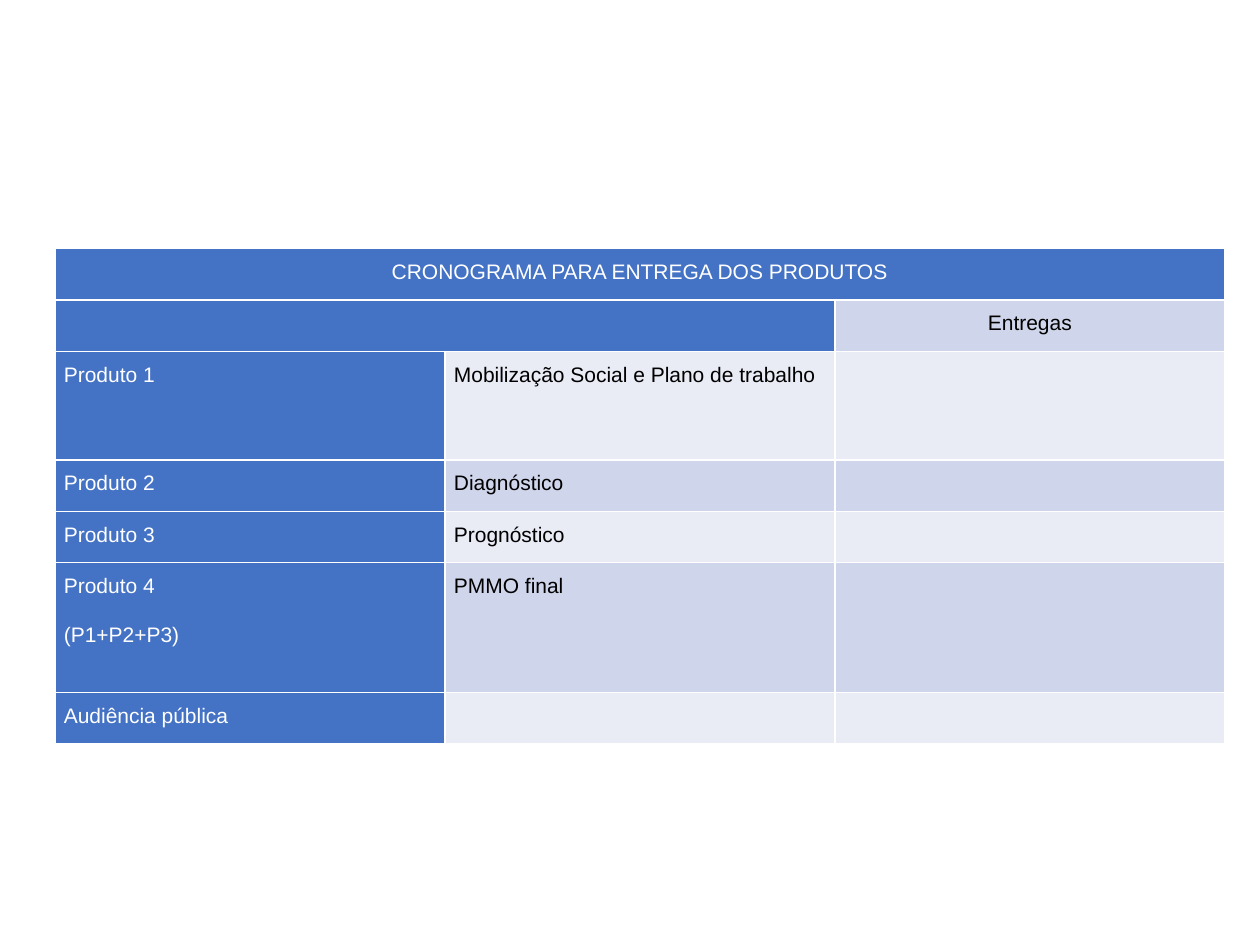
from lxml import etree
from pptx import Presentation
from pptx.dml.color import RGBColor
from pptx.enum.text import PP_ALIGN
from pptx.oxml.ns import qn
from pptx.util import Pt

CENTER, JUSTIFY = PP_ALIGN.CENTER, PP_ALIGN.JUSTIFY
COLORS = {"head": "4472C4", "odd": "CFD5EA", "even": "E9EBF5",
          "white": "FFFFFF", "black": "000000"}
ROWS = [
    (29.4, "CRONOGRAMA PARA ENTREGA DOS PRODUTOS", "", ""),
    (29.4, "", "", "Entregas"),
    (62, "Produto 1", "Mobilização Social e Plano de trabalho", ""),
    (29.4, "Produto 2", "Diagnóstico", ""),
    (29.4, "Produto 3", "Prognóstico", ""),
    (74.2, "Produto 4\n(P1+P2+P3)", "PMMO final", ""),
    (29.4, "Audiência pública", "", ""),
]
SPANS = {0: 3, 1: 2}
LEFT, TOP, WIDTH = 31.3, 142, 222.9


def write(frame, text, color="black", align=JUSTIFY, size=12):
    """Put text in a frame with the given format."""
    frame.text = text
    for para in frame.paragraphs:
        para.alignment = align
        para.line_spacing = 1.5
        para.space_after = Pt(8)
        for run in para.runs:
            font = run.font
            font.name, font.size, font.bold = "Arial", Pt(size), False
            font.color.rgb = RGBColor.from_string(COLORS[color])


def edge(cell, width=1):
    """Draw white lines around a cell."""
    props = cell._tc.get_or_add_tcPr()
    for spot, side in enumerate(("lnL", "lnR", "lnT", "lnB")):
        line = etree.Element(qn(f"a:{side}"), w=str(Pt(width)))
        fill = etree.SubElement(line, qn("a:solidFill"))
        etree.SubElement(fill, qn("a:srgbClr"), val=COLORS["white"])
        props.insert(spot, line)


def main():
    """Build the delivery schedule slide."""
    deck = Presentation()
    deck.slide_width, deck.slide_height = Pt(720), Pt(540)
    slide = deck.slides.add_slide(deck.slide_layouts[6])
    high = sum(row[0] for row in ROWS)
    table = slide.shapes.add_table(
        len(ROWS), 3, Pt(LEFT), Pt(TOP), Pt(3 * WIDTH), Pt(high)).table
    for col in table.columns:
        col.width = Pt(WIDTH)
    for r, (tall, *texts) in enumerate(ROWS):
        table.rows[r].height = Pt(tall)
        for c, text in enumerate(texts):
            cell = table.cell(r, c)
            head = c < SPANS.get(r, 1)
            cell.margin_left = cell.margin_right = Pt(5.2)
            cell.margin_top = cell.margin_bottom = 0
            band = "head" if head else "odd" if r % 2 else "even"
            cell.fill.solid()
            cell.fill.fore_color.rgb = RGBColor.from_string(COLORS[band])
            write(cell.text_frame, text, color="white" if head else "black",
                  align=CENTER if r in SPANS else JUSTIFY)
            edge(cell)
    for r, span in SPANS.items():
        table.cell(r, 0).merge(table.cell(r, span - 1))
    deck.save("out.pptx")


if __name__ == "__main__":
    main()
